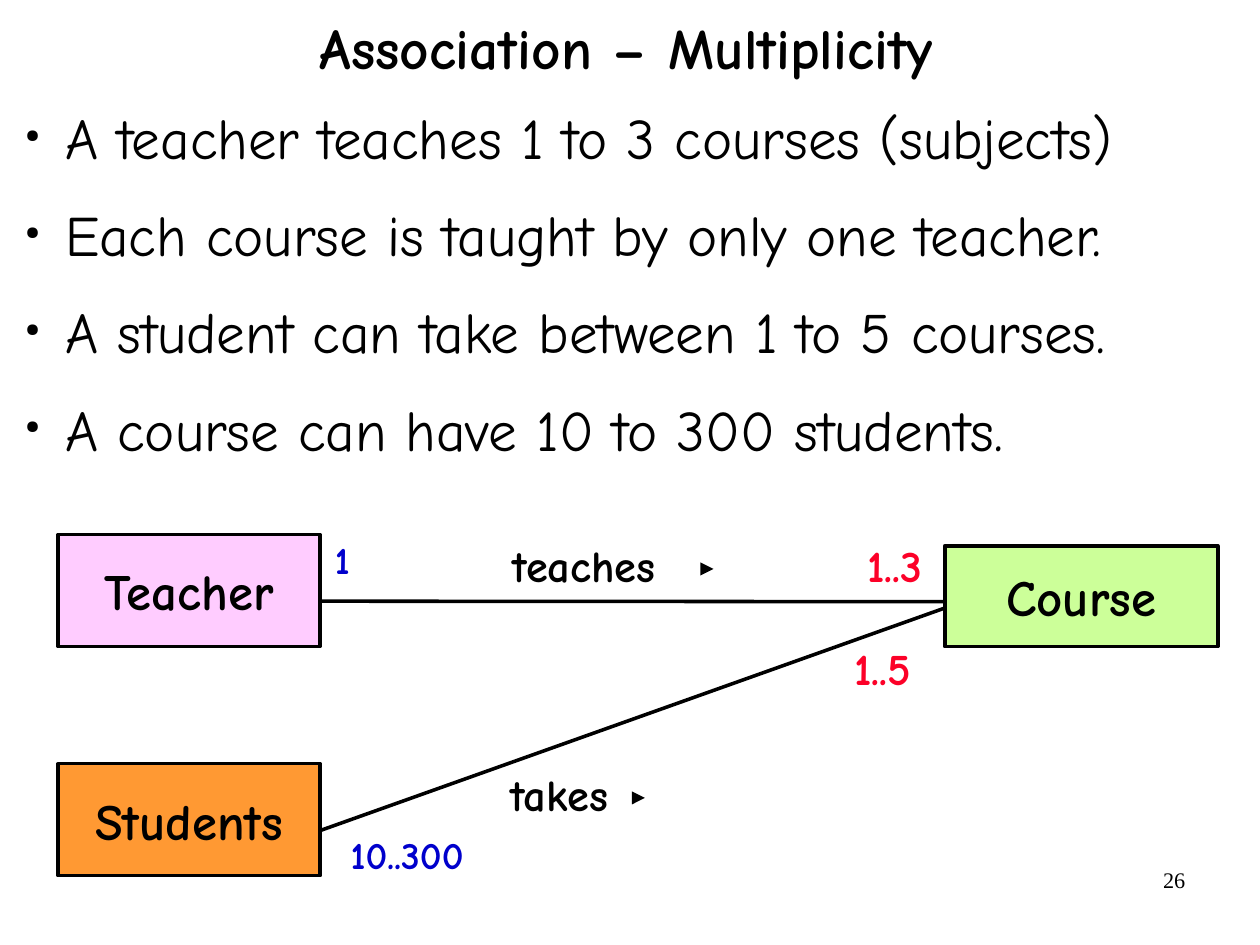
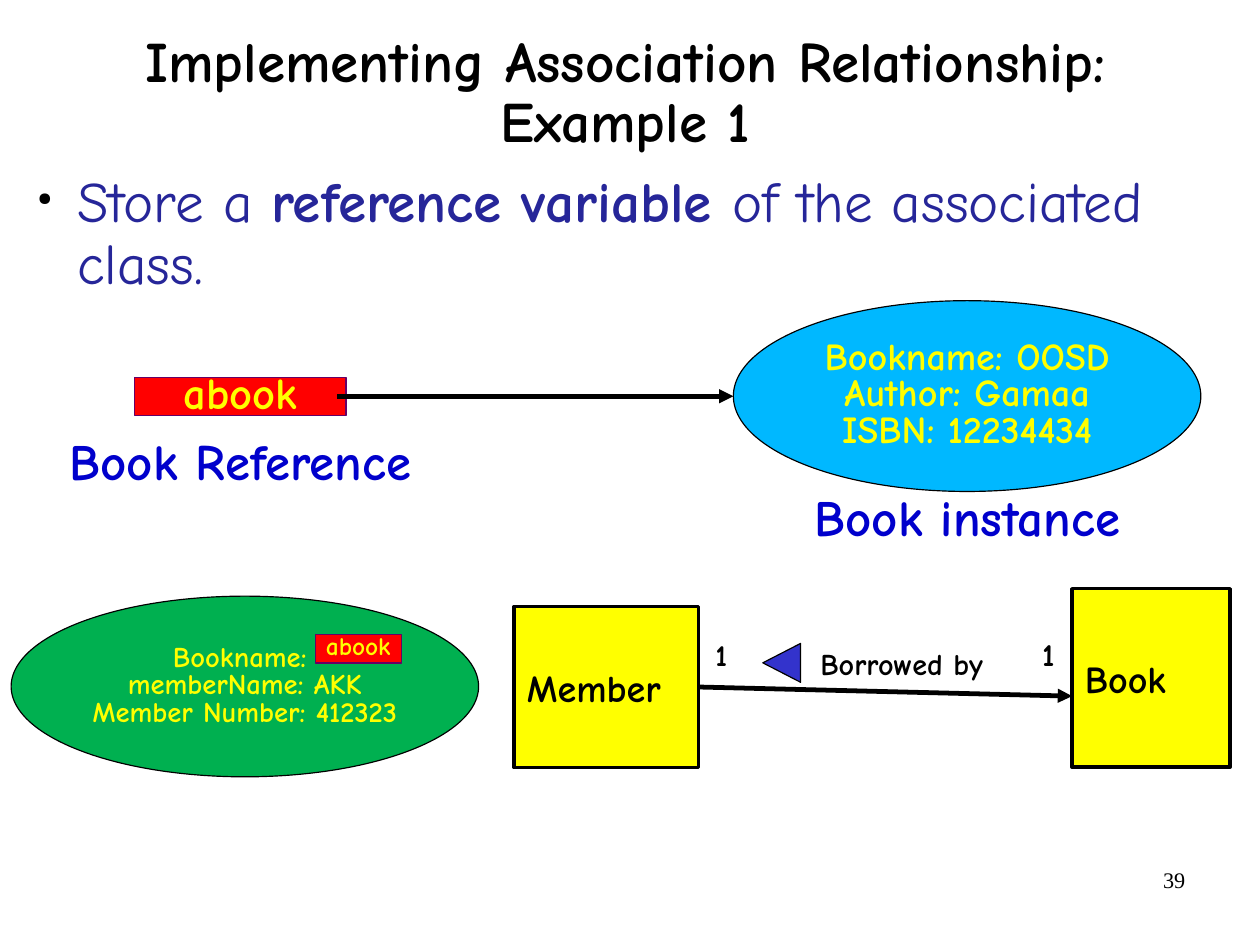
"""Builds two slides on association between classes."""
from lxml import etree
from pptx import Presentation
from pptx.dml.color import RGBColor
from pptx.enum import shapes, text
from pptx.oxml.ns import qn
from pptx.util import Pt


class Theme:
    black, blue, red = "000000", "0000CC", "FC0128"
    navy, yellow, plum = "262699", "FFFF00", "660066"
    pink, lime, orange = "FFCCFF", "CCFF99", "FF9933"
    scarlet, sky, green, indigo = "FF0000", "00B8FF", "00B050", "3333CC"
    font, serif = "Comic Neue", "Times New Roman"
    head, name, verb, role, page = 36, 32, 28, 24, 14
    field, small, tag = 18, 16, 19
    thin, line, bold = 0.75, 2.25, 3
    wide, slim = (8, 4), (7.2, 3.6)


RECT = shapes.MSO_SHAPE.RECTANGLE
OVAL = shapes.MSO_SHAPE.OVAL
LEFT, MID, RIGHT = text.PP_ALIGN.LEFT, text.PP_ALIGN.CENTER, text.PP_ALIGN.RIGHT


def put(page, box, paras, size, color=Theme.black, kind=None, fill=None,
        edge=Theme.black, weight=Theme.line, align=MID, pads=Theme.wide,
        space=None, wrap=False, middle=False, bold=True, font=Theme.font):
    area = [Pt(v) for v in box]
    if kind is None:
        item = page.shapes.add_textbox(*area)
    else:
        item = page.shapes.add_shape(kind, *area)
        item.shadow.inherit = False
        item.fill.solid()
        item.fill.fore_color.rgb = RGBColor.from_string(fill)
        item.line.color.rgb = RGBColor.from_string(edge)
        item.line.width = Pt(weight)
    frame = item.text_frame
    frame.word_wrap = wrap
    frame.margin_left = frame.margin_right = Pt(pads[0])
    frame.margin_top = frame.margin_bottom = Pt(pads[1])
    centred = middle or kind is not None
    frame.vertical_anchor = text.MSO_ANCHOR.MIDDLE if centred else text.MSO_ANCHOR.TOP
    for i, runs in enumerate(paras):
        para = frame.add_paragraph() if i else frame.paragraphs[0]
        para.alignment = align
        if space:
            para.line_spacing = space
        for part in runs:
            run = para.add_run()
            run.text = part
            run.font.name = font
            run.font.size = Pt(size)
            run.font.bold = bold
            run.font.color.rgb = RGBColor.from_string(color)
    return item


def wire(page, ends, weight, arrow=False):
    item = page.shapes.add_connector(shapes.MSO_CONNECTOR.STRAIGHT, *[Pt(v) for v in ends])
    item.line.color.rgb = RGBColor.from_string(Theme.black)
    item.line.width = Pt(weight)
    if arrow:
        etree.SubElement(item.line._get_or_add_ln(), qn("a:tailEnd"), type="triangle")
    etree.SubElement(item._element.spPr, qn("a:effectLst"))
    return item


deck = Presentation()
deck.slide_width, deck.slide_height = Pt(793.75), Pt(595.25)

plans = [
    ("26", "Association – Multiplicity", (13, 0.5, 763, 64), (8, 64.5, 781, 466),
     [("A teacher teaches 1 to 3 courses (subjects)",),
      ("Each course is taught by only one teacher.",),
      ("A student can take between 1 to 5 courses.",),
      ("A course can have 10 to 300 students.",)],
     Theme.black, None, 18),
    ("39", "Implementing Association Relationship: Example 1",
     (55.4, 10.3, 677, 98.6), (15.8, 109, 756, 414),
     [("Store a ", "reference variable ", "of the associated class.")],
     Theme.navy, 0.9, 13.8),
]
pages = []
for number, title, top, area, points, color, space, after in plans:
    page = deck.slides.add_slide(deck.slide_layouts[6])
    pages.append(page)
    put(page, (568.8, 542, 185, 41), [(number,)], Theme.page, align=RIGHT,
        pads=Theme.slim, wrap=True, bold=False, font=Theme.serif)
    put(page, top, [(title,)], Theme.head, pads=(0, 0), space=0.88, wrap=True, middle=True)
    body = put(page, area, points, Theme.head, color, align=LEFT, pads=(0, 0),
               space=space, wrap=True, bold=False)
    for para in body.text_frame.paragraphs:
        para.space_after = Pt(after)
        props = para._p.get_or_add_pPr()
        props.set("marL", str(Pt(33)))
        props.set("indent", str(Pt(-25)))
        tint = etree.SubElement(props, qn("a:buClr"))
        etree.SubElement(tint, qn("a:srgbClr"), val=Theme.black)
        etree.SubElement(props, qn("a:buSzPct"), val="32000")
        etree.SubElement(props, qn("a:buChar"), char="●")
        for run in para.runs[1:2]:
            run.font.bold = True

many, store = pages

for box, name, fill in [
    ((36.7, 336.7, 165, 70.6), "Teacher", Theme.pink),
    ((595.2, 343.8, 172, 63.4), "Course", Theme.lime),
    ((36.7, 481, 165, 70.6), "Students", Theme.orange),
]:
    put(many, box, [(name,)], Theme.name, kind=RECT, fill=fill)

for ends in [(201.6, 378.7, 595.2, 379), (201.6, 523.2, 595.2, 383)]:
    wire(many, ends, Theme.line)
for x, y in [(445, 358.4), (401.8, 502.6)]:
    wire(many, (x, y, x + 4.5, y), 2.75, True)

for box, label, size, color in [
    ((314.6, 334.8, 106.6, 41.8), "teaches", Theme.verb, Theme.black),
    ((313, 479.3, 78.5, 41.8), "takes", Theme.verb, Theme.black),
    ((538.2, 334.8, 51, 41.8), "1..3", Theme.verb, Theme.red),
    ((530.2, 399.6, 52, 41.8), "1..5", Theme.verb, Theme.red),
    ((203, 334, 25, 36.7), "1", Theme.role, Theme.blue),
    ((206.5, 519.6, 100, 36.7), "10..300", Theme.role, Theme.blue),
]:
    put(many, box, [(label,)], size, color)

for kind, box, lines, size, fill, edge in [
    (RECT, (85, 237.6, 133, 24), ["abook"], Theme.verb, Theme.scarlet, Theme.plum),
    (OVAL, (462, 189.4, 294.5, 120.2),
     ["Bookname: OOSD", "Author: Gamaa", "ISBN: 12234434"], Theme.role, Theme.sky, Theme.black),
    (OVAL, (7, 375.5, 294.5, 113.8),
     ["Bookname: ", "memberName: AKK", "Member Number: 412323"],
     Theme.field, Theme.green, Theme.black),
    (RECT, (198.7, 399.6, 54, 18), ["abook"], Theme.small, Theme.scarlet, Theme.plum),
]:
    put(store, box, [(line,) for line in lines], size, Theme.yellow, kind, fill, edge,
        Theme.thin, pads=Theme.slim, space=0.8)
wire(store, (212.4, 249.6, 462, 249.6), Theme.bold, True)

for x, y, label in [(36.7, 274.3, "Book Reference"), (506, 309.6, "Book instance")]:
    put(store, (x, y, 257, 38), [(label,)], Theme.name, Theme.blue, align=LEFT,
        pads=Theme.slim, space=0.8, wrap=True)

member, book = [
    put(store, box, [(name,)], Theme.role, kind=RECT, fill=Theme.yellow, align=LEFT)
    for box, name in [((324, 382, 116, 101.5), "Member"),
                      ((675.4, 370.8, 99.4, 112.5), "Book")]
]
link = wire(store, (440, 434.9, 675.4, 438.5), Theme.bold, True)
link.begin_connect(member, 3)

mark = put(store, (480.2, 405.6, 24.5, 23.8), [], Theme.tag,
           kind=shapes.MSO_SHAPE.ISOSCELES_TRIANGLE, fill=Theme.indigo, weight=Theme.thin)
mark.rotation = 270

for box, label, size, wrap in [
    ((450.7, 400.7, 7.2, 23), "1", Theme.tag, False),
    ((656.6, 399.6, 8, 23.8), "1", Theme.tag + 1, False),
    ((516.8, 406.4, 138, 23), "Borrowed by", Theme.tag, True),
]:
    put(store, box, [(label,)], size, align=LEFT, pads=(0, 0), wrap=wrap)

deck.save("out.pptx")
